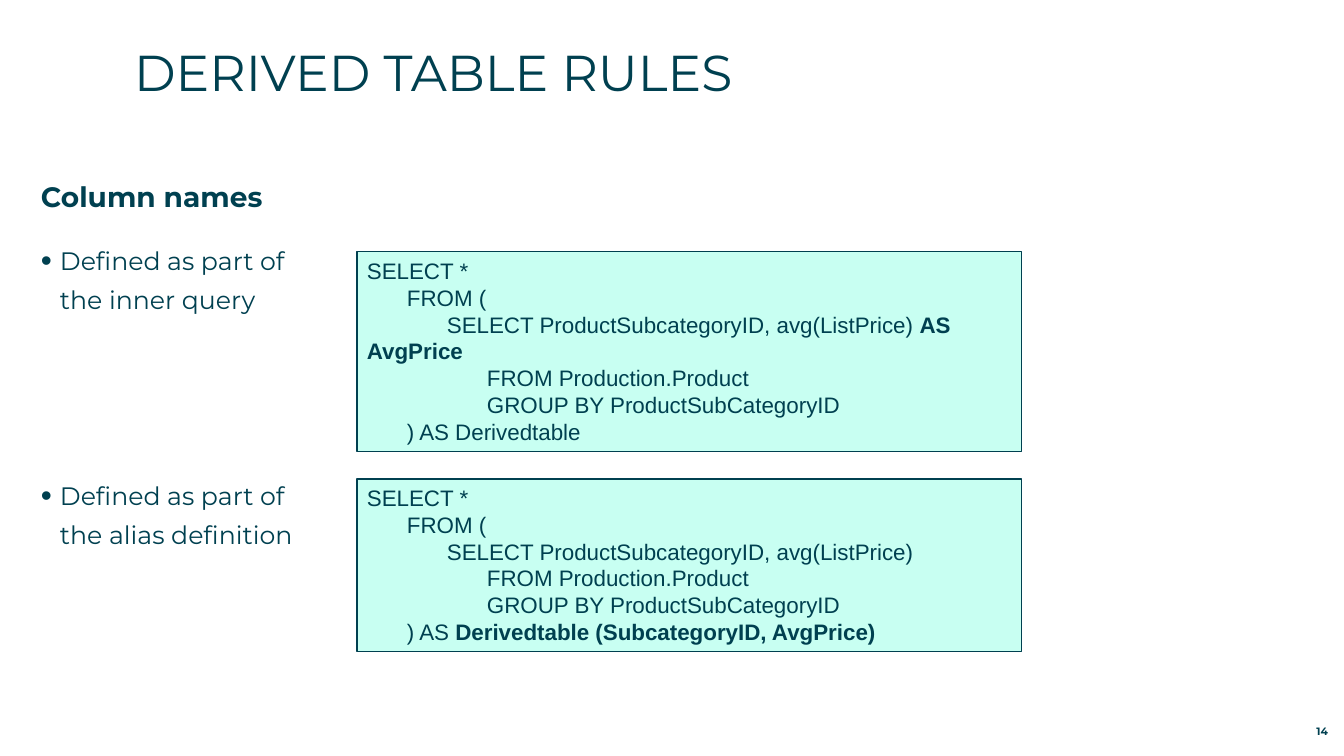
from dataclasses import dataclass

from lxml import etree
from pptx import Presentation
from pptx.dml.color import RGBColor
from pptx.enum.shapes import MSO_SHAPE
from pptx.enum.text import MSO_ANCHOR, MSO_AUTO_SIZE, PP_ALIGN
from pptx.oxml.ns import qn
from pptx.util import Emu, Pt

LEFT, RIGHT = PP_ALIGN.LEFT, PP_ALIGN.RIGHT
TOP, BOTTOM = MSO_ANCHOR.TOP, MSO_ANCHOR.BOTTOM
RECTANGLE = MSO_SHAPE.RECTANGLE
FIXED = MSO_AUTO_SIZE.NONE
EMU_PER_PX = 914400 / 100.8
TITLE_ONLY = 5
TAB_STEP, TAB_COUNT = 40, 5
BULLET_INDENT = 19


@dataclass(frozen=True)
class Theme:
    ink: RGBColor = RGBColor(0x00, 0x40, 0x50)
    code_fill: RGBColor = RGBColor(0xC8, 0xFF, 0xF2)
    text_font: str = "Montserrat"
    code_font: str = "Arial"
    title_size: float = 36
    heading_size: float = 20
    bullet_size: float = 18
    code_size: float = 16
    number_size: float = 7.6
    outline: float = 0.75


@dataclass(frozen=True)
class Box:
    left: int
    top: int
    width: int
    height: int


@dataclass(frozen=True)
class Span:
    text: str
    bold: bool = False


@dataclass(frozen=True)
class BodyLine:
    text: str
    size: float
    before: float = 0
    bold: bool = False
    indent: int = 0
    bullet: bool = False


@dataclass(frozen=True)
class CodePanel:
    box: Box
    lines: tuple[tuple[Span, ...], ...]


THEME = Theme()
BODY_LINES = (
    BodyLine("Column names", THEME.heading_size, bold=True),
    BodyLine("Defined as part of", THEME.bullet_size, 16.4, indent=BULLET_INDENT, bullet=True),
    BodyLine("the inner query", THEME.bullet_size, indent=BULLET_INDENT),
    BodyLine("Defined as part of", THEME.bullet_size, 112.4, indent=BULLET_INDENT, bullet=True),
    BodyLine("the alias definition", THEME.bullet_size, indent=BULLET_INDENT),
)
QUERY_START = ((Span("SELECT *"),), (Span("\tFROM ("),))
QUERY_SOURCE = (
    (Span("\t\t\tFROM Production.Product"),),
    (Span("\t\t\tGROUP BY ProductSubCategoryID"),),
)
PANELS = (
    CodePanel(Box(357, 252, 665, 200), (
        *QUERY_START,
        (Span("\t\tSELECT ProductSubcategoryID, avg(ListPrice) "), Span("AS AvgPrice", True)),
        *QUERY_SOURCE,
        (Span("\t) AS Derivedtable"),),
    )),
    CodePanel(Box(357, 479, 665, 173), (
        *QUERY_START,
        (Span("\t\tSELECT ProductSubcategoryID, avg(ListPrice)"),),
        *QUERY_SOURCE,
        (Span("\t) AS "), Span("Derivedtable (SubcategoryID, AvgPrice)", True)),
    )),
)


def px(length: int) -> Emu:
    return Emu(round(length * EMU_PER_PX))


def apply(target, values: dict) -> None:
    for name, value in values.items():
        setattr(target, name, value)


def place(shape, box: Box) -> None:
    apply(shape, {"left": px(box.left), "top": px(box.top),
                  "width": px(box.width), "height": px(box.height)})


def set_frame(frame, anchor: MSO_ANCHOR = TOP) -> None:
    apply(frame, {"margin_left": 0, "margin_right": 0, "margin_top": 0, "margin_bottom": 0,
                  "word_wrap": True, "auto_size": FIXED, "vertical_anchor": anchor})


def add_span(para, span: Span, size: float, font_name: str = THEME.text_font) -> None:
    run = para.add_run()
    run.text = span.text
    apply(run.font, {"name": font_name, "size": Pt(size), "bold": span.bold})
    run.font.color.rgb = THEME.ink


def next_para(frame, index: int):
    return frame.paragraphs[0] if index == 0 else frame.add_paragraph()


def add_label(page, box: Box):
    label = page.shapes.add_textbox(0, 0, 0, 0)
    place(label, box)
    return label.text_frame


def add_title(page, text: str, box: Box) -> None:
    title = page.shapes.title
    place(title, box)
    set_frame(title.text_frame)
    para = title.text_frame.paragraphs[0]
    para.alignment = LEFT
    add_span(para, Span(text), THEME.title_size)


def add_body(page, box: Box, lines: tuple[BodyLine, ...]) -> None:
    frame = add_label(page, box)
    set_frame(frame)
    for index, line in enumerate(lines):
        para = next_para(frame, index)
        apply(para, {"space_before": Pt(line.before), "space_after": Pt(6.2)})
        props = para._p.get_or_add_pPr()
        props.set("marL", str(px(line.indent)))
        if line.bullet:
            props.set("indent", str(-px(line.indent)))
            etree.SubElement(props, qn("a:buSzPct"), val="125000")
            etree.SubElement(props, qn("a:buFont"), typeface=THEME.code_font)
            etree.SubElement(props, qn("a:buChar"), char="•")
        add_span(para, Span(line.text, line.bold), line.size)


def add_panel(page, panel: CodePanel) -> None:
    shape = page.shapes.add_shape(RECTANGLE, 0, 0, 0, 0)
    place(shape, panel.box)
    shape.shadow.inherit = False
    shape.fill.solid()
    shape.fill.fore_color.rgb = THEME.code_fill
    shape.line.color.rgb = THEME.ink
    shape.line.width = Pt(THEME.outline)
    frame = shape.text_frame
    apply(frame, {"word_wrap": True, "vertical_anchor": TOP})
    for index, spans in enumerate(panel.lines):
        para = next_para(frame, index)
        para.alignment = LEFT
        tabs = etree.SubElement(para._p.get_or_add_pPr(), qn("a:tabLst"))
        for stop in range(1, TAB_COUNT + 1):
            etree.SubElement(tabs, qn("a:tab"), pos=str(px(stop * TAB_STEP)), algn="l")
        for span in spans:
            add_span(para, span, THEME.code_size, THEME.code_font)


def add_page_number(page, text: str, box: Box) -> None:
    frame = add_label(page, box)
    set_frame(frame, BOTTOM)
    para = frame.paragraphs[0]
    para.alignment = RIGHT
    add_span(para, Span(text, True), THEME.number_size)


def main() -> None:
    deck = Presentation()
    apply(deck, {"slide_width": px(1344), "slide_height": px(756)})
    page = deck.slides.add_slide(deck.slide_layouts[TITLE_ONLY])

    # Title and rules
    add_title(page, "DERIVED TABLE RULES", Box(134, 41, 1168, 57))
    add_body(page, Box(41, 180, 1260, 534), BODY_LINES)

    # Query examples
    for panel in PANELS:
        add_panel(page, panel)

    # Page number
    add_page_number(page, "14", Box(1241, 718, 87, 20))
    deck.save("out.pptx")


if __name__ == "__main__":
    main()
